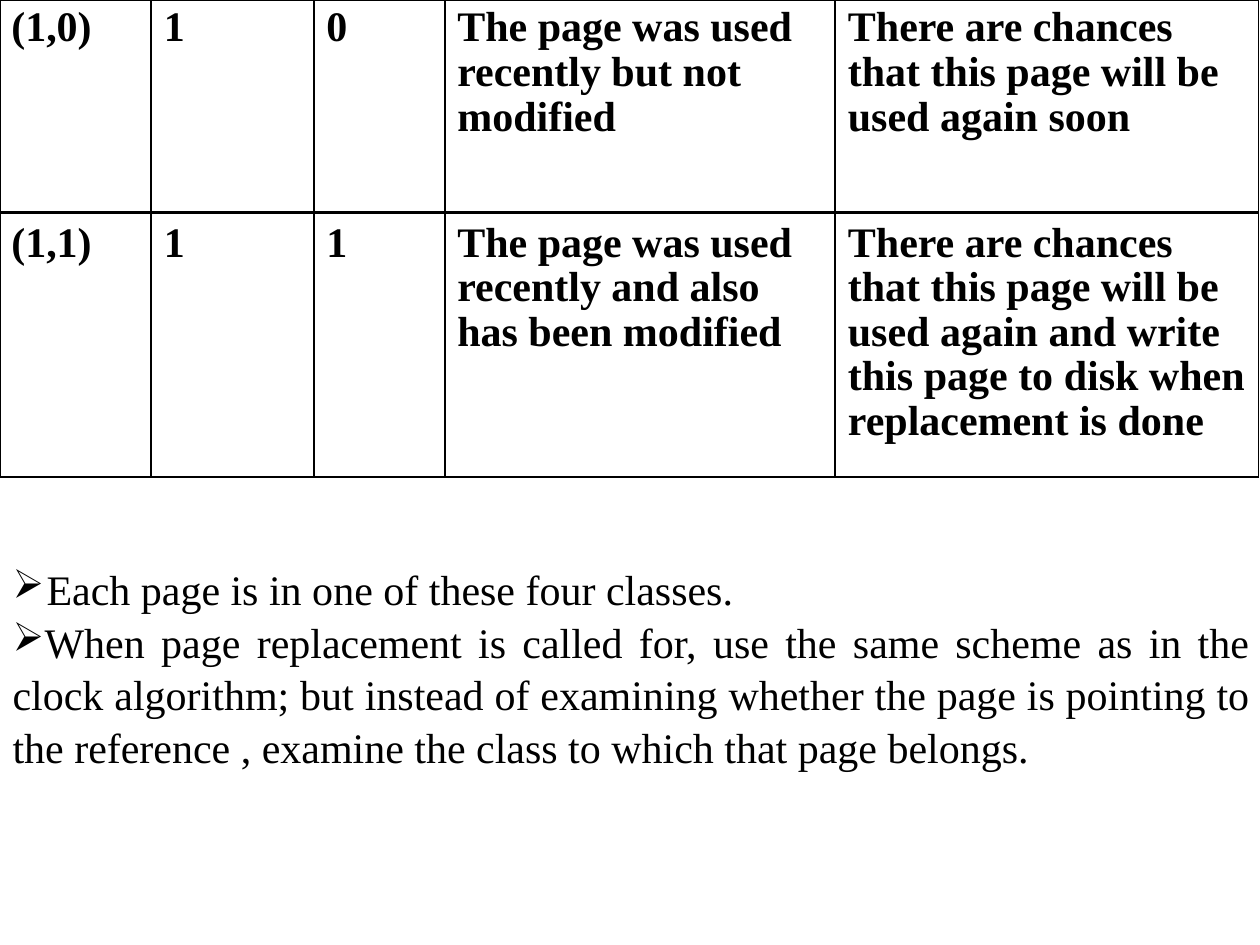
from dataclasses import dataclass

from lxml.etree import SubElement
from pptx import Presentation
from pptx.dml.color import RGBColor as Color
from pptx.enum.text import MSO_ANCHOR as Anchor, PP_ALIGN as Align
from pptx.oxml.ns import qn
from pptx.util import Inches, Pt


@dataclass(frozen=True)
class Theme:
    font: str = "Times New Roman"
    size: int = 24
    ink: str = "000000"
    thin: float = 0.75
    thick: float = 1.5


THEME = Theme()
WIDTH, HEIGHT = Inches(10), Inches(7.5)
COLUMN_SHARES = (0.12, 0.129, 0.104, 0.31, 0.336)
ROW_SHARES = (0.225, 0.28)
CELL_TOPS = (0.05, 0.07)
PAGE_CLASSES = (
    ("(1,0)", "1", "0", "The page was used recently but not modified",
     "There are chances\vthat this page will be used again soon"),
    ("(1,1)", "1", "1", "The page was used recently and also\vhas been modified",
     "There are chances\vthat this page will be used again and write "
     "this page to disk when replacement is done"),
)
NOTES = (
    ("Each page is in one of these four classes.", 0.28, -0.27),
    ("When page replacement is called for, use the same scheme as in the "
     "clock algorithm; but instead of examining whether the page is pointing "
     "to the reference , examine the class to which that page belongs.", 0.01, 0),
)


def share_box(left, top, width, height):
    return (round(WIDTH * left), round(HEIGHT * top),
            round(WIDTH * width), round(HEIGHT * height))


def apply_format(target, values):
    for name, value in values.items():
        setattr(target, name, value)


def format_paragraph(paragraph, line_spacing, bold=False, alignment=Align.LEFT):
    apply_format(paragraph, {"line_spacing": line_spacing, "alignment": alignment})
    for run in paragraph.runs:
        apply_format(run.font, {"name": THEME.font, "size": Pt(THEME.size), "bold": bold})
        run.font.color.rgb = Color.from_string(THEME.ink)


def add_borders(cell, widths):
    properties = cell._tc.get_or_add_tcPr()
    for side, width in widths.items():
        line = SubElement(properties, qn(f"a:ln{side}"), w=str(Pt(width)))
        fill = SubElement(line, qn("a:solidFill"))
        SubElement(fill, qn("a:srgbClr"), val=THEME.ink)


def add_bullet(paragraph, left, indent):
    properties = paragraph._p.get_or_add_pPr()
    properties.set("marL", str(Inches(left)))
    properties.set("indent", str(Inches(indent)))
    SubElement(properties, qn("a:buSzPct"), val="96000")
    SubElement(properties, qn("a:buChar"), char="➢")
    tabs = SubElement(properties, qn("a:tabLst"))
    SubElement(tabs, qn("a:tab"), pos=str(Inches(0.28)), algn="l")


def add_class_table(slide, box):
    row_count, column_count = len(ROW_SHARES), len(COLUMN_SHARES)
    table = slide.shapes.add_table(row_count, column_count, *box).table
    apply_format(table, {"first_row": False, "horz_banding": False})
    for column, share in zip(table.columns, COLUMN_SHARES):
        column.width = round(WIDTH * share)
    for row, share in zip(table.rows, ROW_SHARES):
        row.height = round(HEIGHT * share)
    for row_index, texts in enumerate(PAGE_CLASSES):
        for column_index, text in enumerate(texts):
            cell = table.cell(row_index, column_index)
            cell.text_frame.text = text
            apply_format(cell, {
                "margin_left": Inches(0.1 if column_index else 0.09),
                "margin_top": Inches(CELL_TOPS[row_index]),
                "margin_right": 0,
                "margin_bottom": 0,
                "vertical_anchor": Anchor.TOP,
            })
            format_paragraph(cell.text_frame.paragraphs[0], 0.96, bold=True)
            add_borders(cell, {
                "L": THEME.thick if column_index else THEME.thin,
                "R": THEME.thick if column_index < column_count - 1 else THEME.thin,
                "T": THEME.thick if row_index else THEME.thin,
                "B": THEME.thick,
            })
            cell.fill.background()


def add_notes(slide, box):
    frame = slide.shapes.add_textbox(*box).text_frame
    apply_format(frame, {"word_wrap": True, "margin_left": 0, "margin_right": 0,
                         "margin_top": Inches(0.02), "margin_bottom": 0})
    frame.text = "\n".join(text for text, _, _ in NOTES)
    for paragraph, (_, left, indent) in zip(frame.paragraphs, NOTES):
        format_paragraph(paragraph, 1.04, alignment=Align.JUSTIFY)
        add_bullet(paragraph, left, indent)


def main():
    presentation = Presentation()
    apply_format(presentation, {"slide_width": WIDTH, "slide_height": HEIGHT})
    slide = presentation.slides.add_slide(presentation.slide_layouts[6])
    add_class_table(slide, share_box(0, 0, sum(COLUMN_SHARES), sum(ROW_SHARES)))
    add_notes(slide, share_box(0.009, 0.592, 0.983, 0.217))
    presentation.save("out.pptx")


if __name__ == "__main__":
    main()
